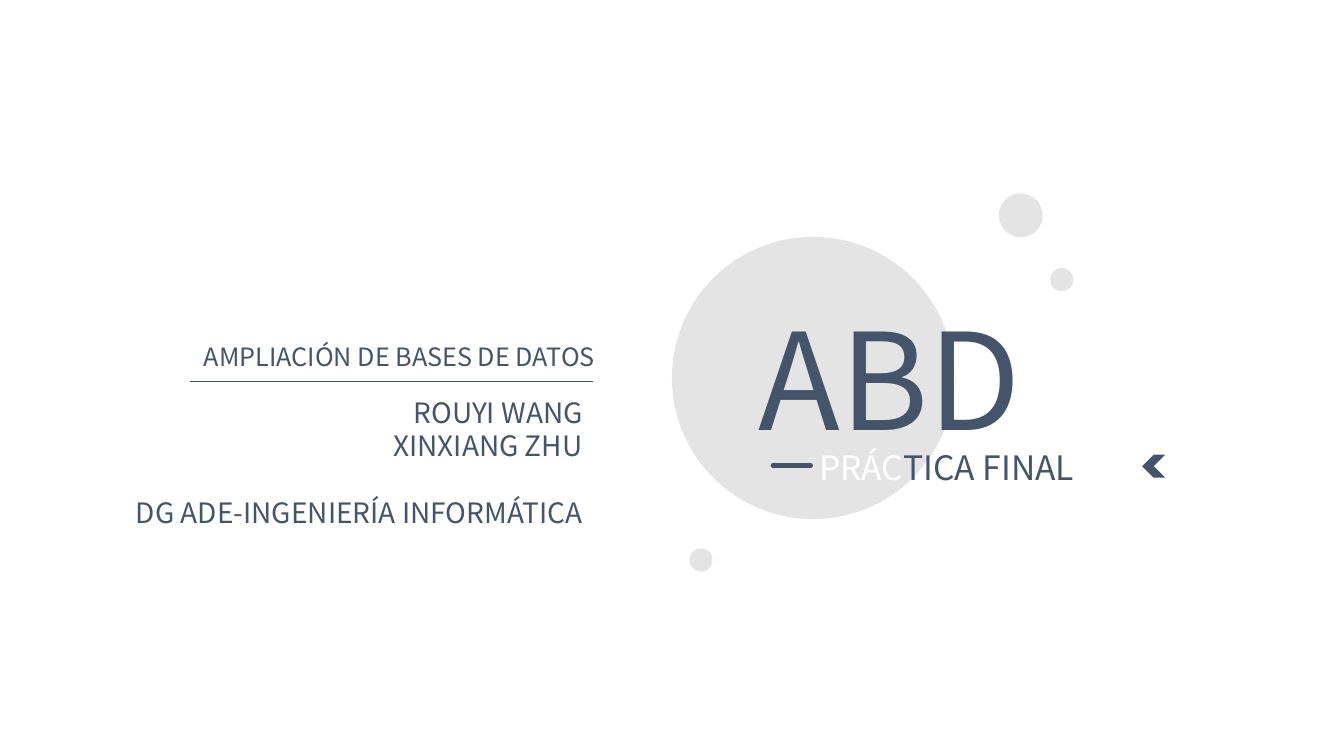
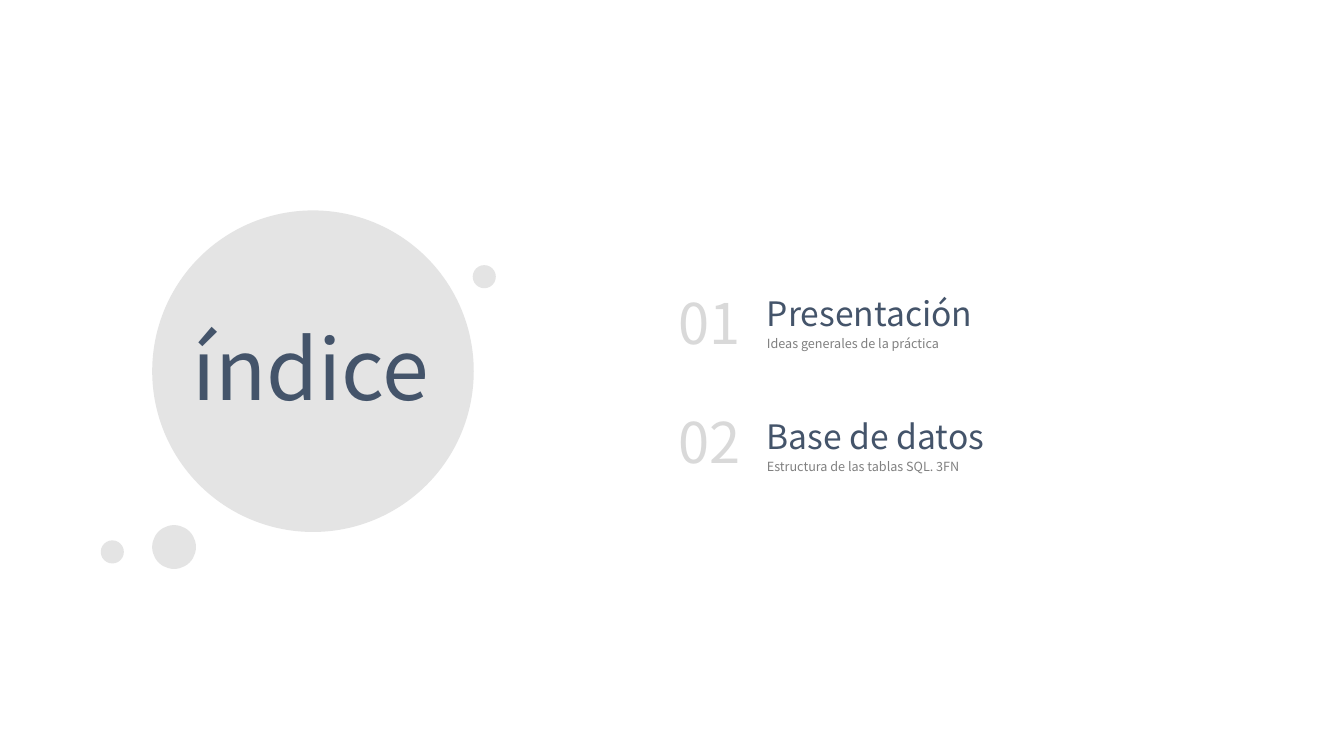
import pptx
import pptx.dml.color
import pptx.enum.shapes
import pptx.enum.text
import pptx.oxml.ns
import pptx.util
from lxml import etree

Pt = pptx.util.Pt
SHAPES = pptx.enum.shapes.MSO_SHAPE
LEFT = pptx.enum.text.PP_ALIGN.LEFT
RIGHT = pptx.enum.text.PP_ALIGN.RIGHT
qn = pptx.oxml.ns.qn

FONT = "Noto Sans CJK SC"
NAVY = "44546A"
SILVER = "D9D9D9"
GRAY = "808080"
WHITE = "FFFFFF"

BUBBLE_OPACITY = 70
SMALL = 16.5
MEDIUM = 31.3


def rgb(hex_code):
    return pptx.dml.color.RGBColor.from_string(hex_code)


def add_filled_shape(slide, kind, left, top, width, height, color):
    shape = slide.shapes.add_shape(kind, Pt(left), Pt(top), Pt(width), Pt(height))
    shape.shadow.inherit = False
    shape.fill.solid()
    shape.fill.fore_color.rgb = rgb(color)
    shape.line.fill.background()
    return shape


def add_bubble(slide, left, top, diameter):
    """Add a translucent decorative circle."""
    bubble = add_filled_shape(slide, SHAPES.FLOWCHART_CONNECTOR,
                              left, top, diameter, diameter, SILVER)
    color = bubble.element.spPr.find(qn("a:solidFill"))[0]
    etree.SubElement(color, qn("a:alpha")).set("val", str(BUBBLE_OPACITY * 1000))


def add_rule(slide, left, right, y, weight, cap="flat"):
    """Add a horizontal line."""
    rule = slide.shapes.add_connector(pptx.enum.shapes.MSO_CONNECTOR.STRAIGHT,
                                      Pt(left), Pt(y), Pt(right), Pt(y))
    rule.line.color.rgb = rgb(NAVY)
    rule.line.width = Pt(weight)
    properties = rule.element.spPr
    properties.find(qn("a:ln")).set("cap", cap)
    etree.SubElement(properties, qn("a:effectLst"))


def add_text(slide, left, top, width, height, lines, size,
             color=NAVY, align=LEFT, wrap=False):
    """Add a text box with one paragraph per line; return its paragraphs."""
    box = slide.shapes.add_textbox(Pt(left), Pt(top), Pt(width), Pt(height))
    frame = box.text_frame
    frame.word_wrap = wrap
    frame.auto_size = pptx.enum.text.MSO_AUTO_SIZE.SHAPE_TO_FIT_TEXT
    frame.text = "\n".join(lines)
    for paragraph in frame.paragraphs:
        paragraph.alignment = align
        paragraph.font.name = FONT
        paragraph.font.size = Pt(size)
        paragraph.font.color.rgb = rgb(color)
    return frame.paragraphs


def add_index_entry(slide, number_top, title_top, number, title, title_width,
                    caption, caption_width):
    add_text(slide, 477.4, number_top, 62, 55.4, [number], 40, SILVER)
    add_text(slide, 540.7, title_top, title_width, 36, [title], 24)
    add_text(slide, 540.7, title_top + 30.6, caption_width, 18, [caption], 9, GRAY)


def build_cover(slide):
    add_bubble(slide, 480, 169.2, 201.6)
    add_text(slide, 535, 208, 217.4, 123.8, ["ABD"], 96)
    subtitle = add_text(slide, 578.2, 315.4, 235.4, 36, ["PRÁC"], 24, wrap=True)[0]
    subtitle.runs[0].font.color.rgb = rgb(WHITE)
    subtitle.add_run().text = "TICA FINAL"
    chevron = add_filled_shape(slide, SHAPES.CHEVRON, 815.8, 324.7, SMALL, SMALL, NAVY)
    chevron.rotation = 180
    add_rule(slide, 135.4, 423.4, 272.6, 0.5)
    add_rule(slide, 552.2, 579, 332.6, 3.5, cap="rnd")
    for left, top, diameter in ((713.5, 138.2, MEDIUM), (750.2, 191.5, SMALL),
                                (492.5, 391.7, SMALL)):
        add_bubble(slide, left, top, diameter)
    add_text(slide, 117.4, 240.5, 314.6, 28.8, ["AMPLIACIÓN DE BASES DE DATOS"],
             18, align=RIGHT)
    credits = add_text(slide, 33.8, 278.6, 389.5, 104.4,
                       ["ROUYI WANG", "XINXIANG ZHU", "DG ADE-INGENIERÍA INFORMÁTICA"],
                       20, align=RIGHT, wrap=True)
    credits[-1].space_before = Pt(24)


def build_index(slide):
    for left, top, diameter in ((108.7, 150.3, 229.7), (108.7, 375.1, MEDIUM),
                                (72, 386, SMALL), (337.7, 189.4, SMALL)):
        add_bubble(slide, left, top, diameter)
    add_text(slide, 130.3, 222.5, 195.1, 79.9, ["índice"], 60, wrap=True)
    add_index_entry(slide, 202.3, 206, "01", "Presentación", 163.4,
                    "Ideas generales de la práctica", 142.6)
    add_index_entry(slide, 287.3, 293.5, "02", "Base de datos", 176.4,
                    "Estructura de las tablas SQL. 3FN", 157)


def main():
    deck = pptx.Presentation()
    deck.slide_width, deck.slide_height = Pt(960), Pt(540)
    blank = deck.slide_layouts[6]
    for build in (build_cover, build_index):
        build(deck.slides.add_slide(blank))
    deck.save("out.pptx")


if __name__ == "__main__":
    main()
